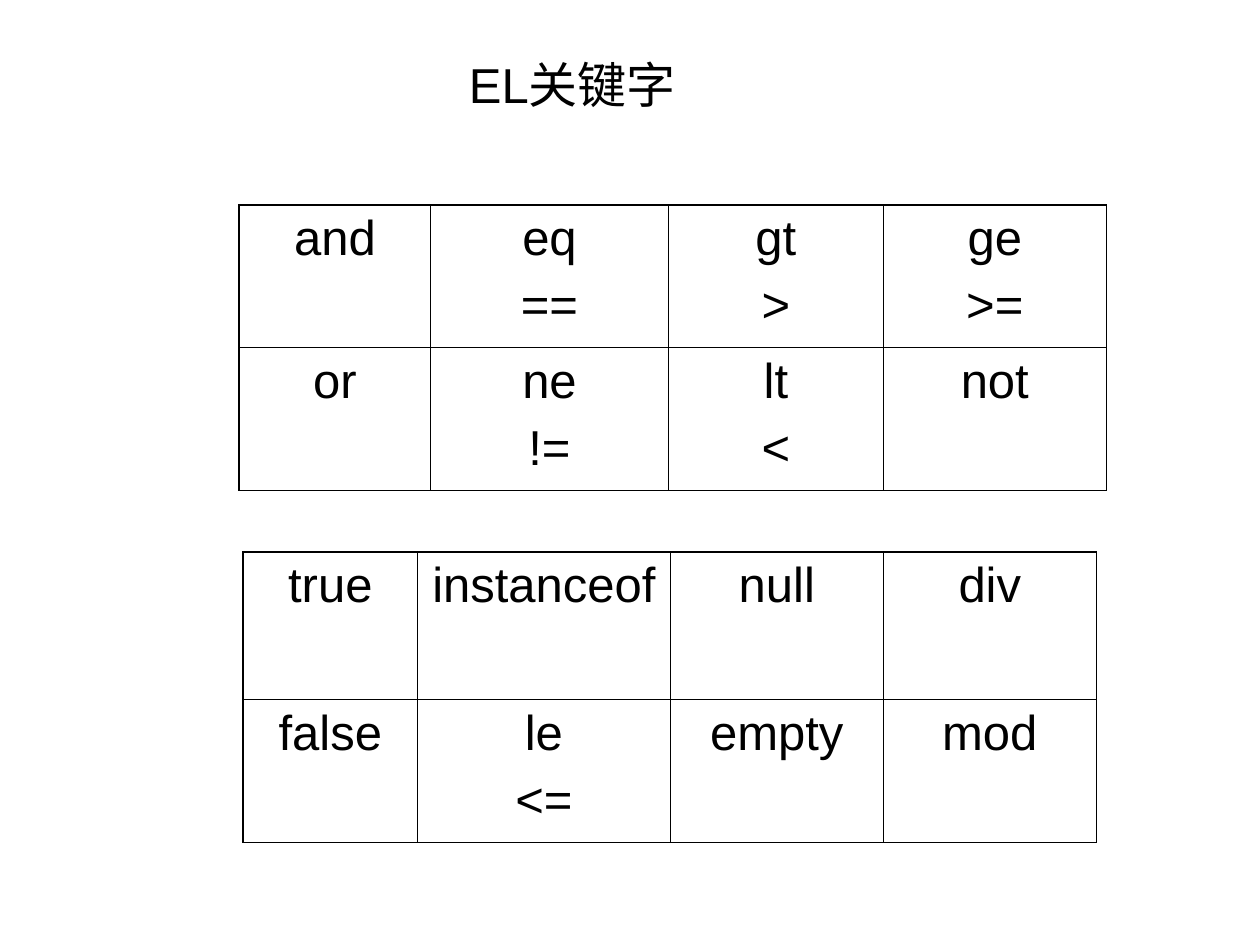
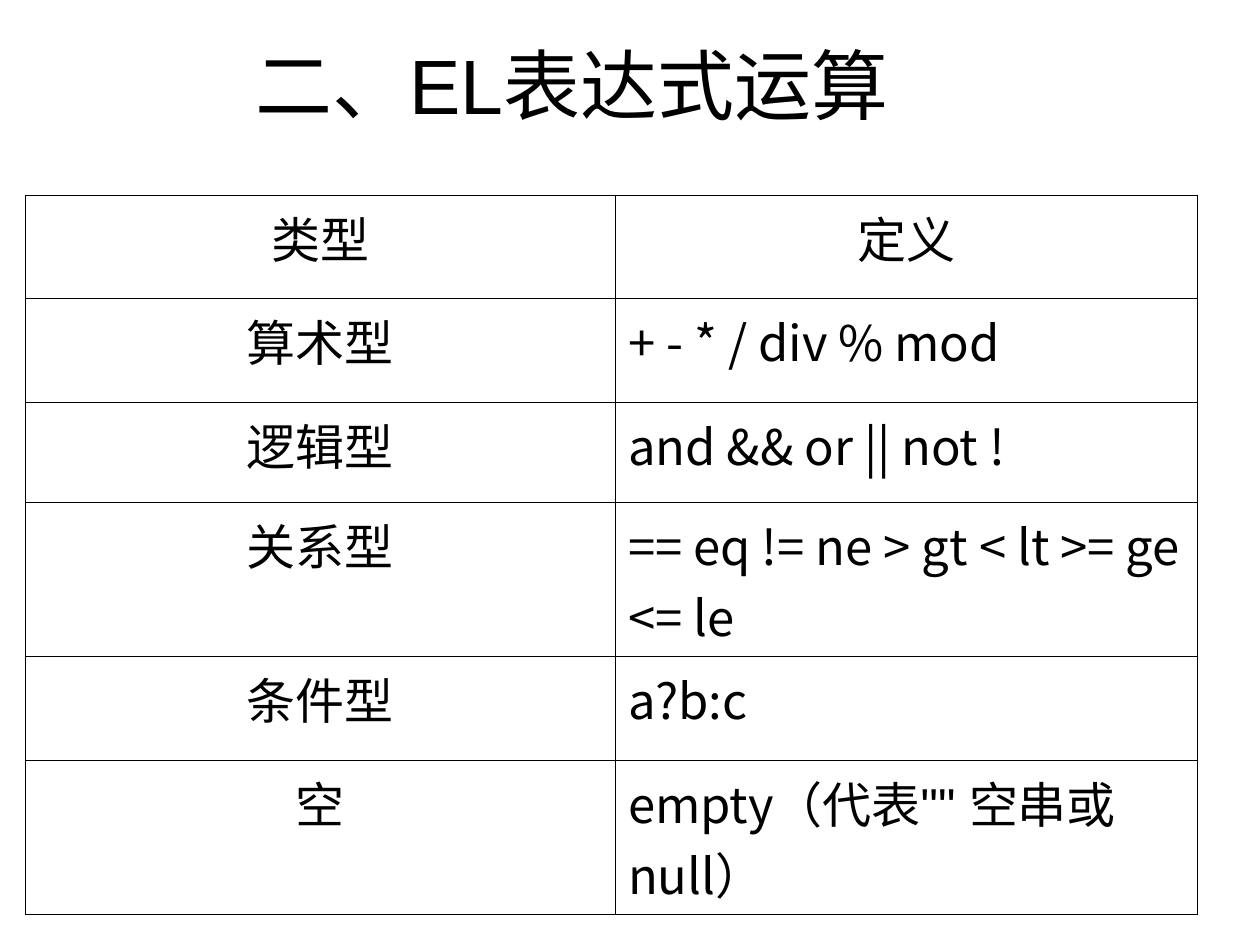
from pptx import Presentation
from pptx.dml.color import RGBColor as RGB
from pptx.enum.text import MSO_ANCHOR as ANCHOR, PP_ALIGN as ALIGN
from pptx.oxml.ns import qn
from pptx.util import Pt
from lxml.etree import SubElement

LATIN, CJK = "Arial", "Noto Sans CJK SC"
INK, PAPER = "000000", "FFFFFF"
THIN, THICK = 0.45, 1.08


def color(value):
    """Turn a hex string into a colour."""
    return RGB.from_string(value)


class Deck:
    """Hold the shared style and the current slide."""

    def __init__(self, prs):
        """Start with a presentation and no slide."""
        self.prs = prs
        self.s = None

    def slide(self, title, size):
        """Add a blank slide with its title."""
        self.s = self.prs.slides.add_slide(self.prs.slide_layouts[6])
        fill = self.s.background.fill
        fill.solid()
        fill.fore_color.rgb = color(PAPER)
        sp = self.s.shapes.add_textbox(Pt(18), Pt(23.75), Pt(618), Pt(48))
        tf = sp.text_frame
        tf.word_wrap = True
        tf.vertical_anchor = ANCHOR.MIDDLE
        p = tf.paragraphs[0]
        p.alignment = ALIGN.CENTER
        self.run(p, title, LATIN, size)

    def run(self, p, text, font, size=28):
        """Add one run with its Latin and East Asian fonts."""
        r = p.add_run()
        r.text = text
        r.font.name, r.font.size = font, Pt(size)
        r.font.color.rgb = color(INK)
        SubElement(r.font._element, qn("a:ea")).set("typeface", CJK)

    def cell(self, cell, lines, font, align):
        """Fill a cell with lines, each a string or a list of (text, font) runs."""
        cell.fill.background()
        tf = cell.text_frame
        for i, line in enumerate(lines):
            p = tf.add_paragraph() if i else tf.paragraphs[0]
            p.alignment, p.space_before = align, Pt(7)
            for text, face in [(line, font)] if isinstance(line, str) else line:
                self.run(p, text, face)

    def borders(self, cell, widths):
        """Draw the left, right, top and bottom borders of a cell."""
        tc_pr = cell._tc.get_or_add_tcPr()
        for i, (side, width) in enumerate(zip("LRTB", widths)):
            ln = SubElement(tc_pr, qn(f"a:ln{side}"), w=str(int(Pt(width))))
            fill = SubElement(ln, qn("a:solidFill"))
            SubElement(fill, qn("a:srgbClr"), val=INK)
            tc_pr.insert(i, ln)

    def table(self, left, top, cols, rows, cells, font=LATIN, edge=THICK, body=ALIGN.CENTER):
        """Add a table; edge is its left and top line, body aligns the inner cells."""
        t = self.s.shapes.add_table(len(rows), len(cols), Pt(left), Pt(top),
                                    Pt(sum(cols)), Pt(sum(rows))).table
        t.first_row = t.horz_banding = False
        for col, width in zip(t.columns, cols):
            col.width = Pt(width)
        for row, height in zip(t.rows, rows):
            row.height = Pt(height)
        for i, line in enumerate(cells):
            for j, content in enumerate(line):
                lines = content.split("\n") if isinstance(content, str) else [content]
                self.cell(t.cell(i, j), lines, font, body if i and j else ALIGN.CENTER)
                self.borders(t.cell(i, j), [THIN if j else edge, THIN, THIN if i else edge, THIN])


def main():
    """Build both slides and save them."""
    prs = Presentation()
    prs.slide_width, prs.slide_height = Pt(720), Pt(540)
    deck = Deck(prs)

    deck.slide("EL关键字", 28)
    deck.table(136.75, 117.25, [109.25, 136, 122.75, 127.5], [81.5, 81.5], [
        ["and", "eq\n==", "gt\n>", "ge\n>="],
        ["or", "ne\n!=", "lt\n<", "not"],
    ])
    deck.table(139, 315.5, [99.5, 144.5, 121.75, 121.75], [84.25, 81.5], [
        ["true", "instanceof", "null", "div"],
        ["false", "le\n<=", "empty", "mod"],
    ])

    deck.slide("二、EL表达式运算", 44)
    single, double = 59.25, 88
    empty = [("empty（代表", CJK), ('"" 空串', LATIN), ("或null）", CJK)]
    deck.table(14.25, 111.5, [337.5, 332.25], [single, single, 57.25, double, single, double], [
        ["类型", "定义"],
        ["算术型", "+ - * / div % mod"],
        ["逻辑型", "and && or || not !"],
        ["关系型", "== eq != ne > gt < lt >= ge <= le"],
        ["条件型", "a?b:c"],
        ["空", empty],
    ], font=CJK, edge=THIN, body=ALIGN.LEFT)

    prs.save("out.pptx")


if __name__ == "__main__":
    main()
